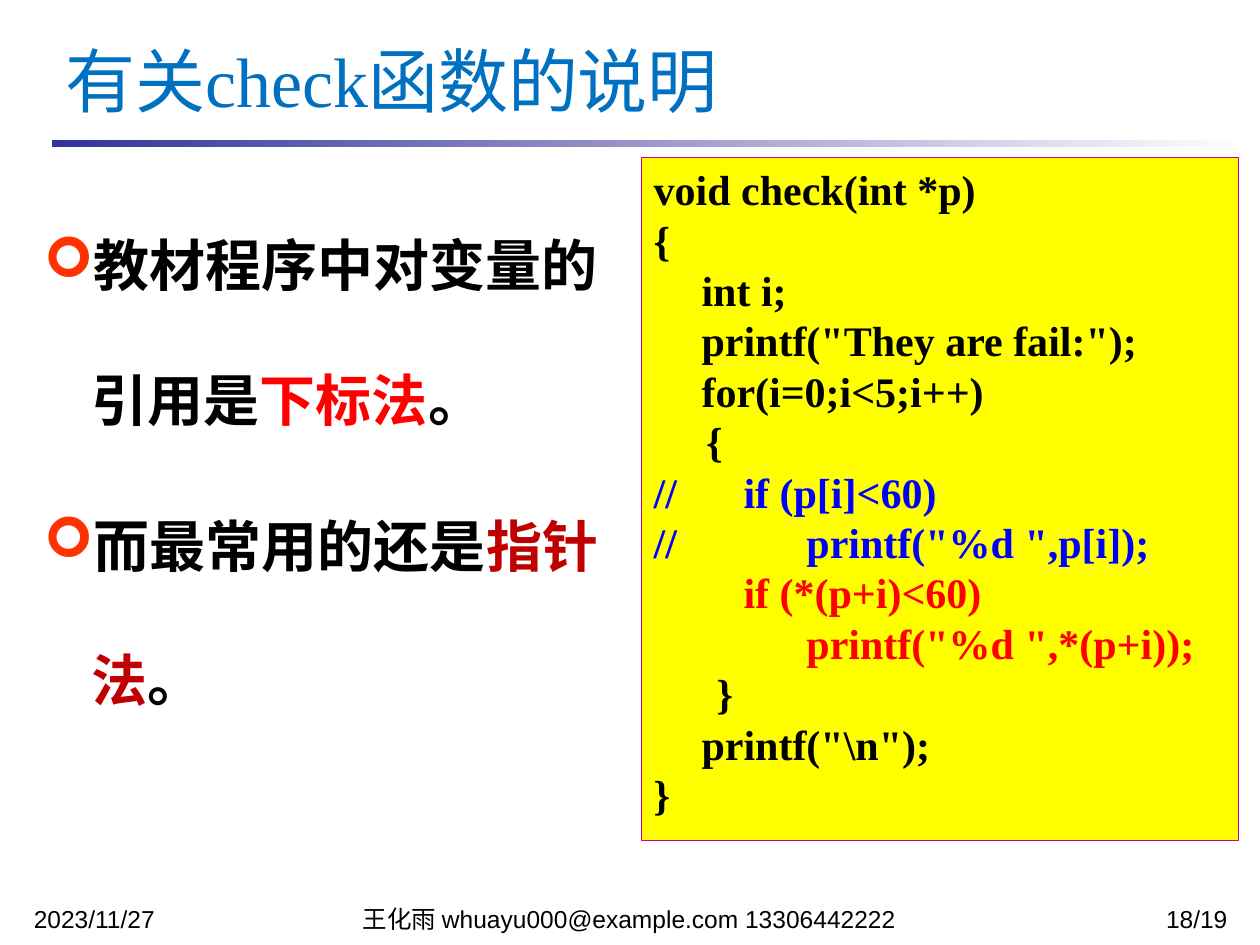
from lxml.etree import SubElement
from pptx import Presentation
from pptx.dml.color import RGBColor
from pptx.enum.shapes import MSO_SHAPE
from pptx.enum.text import MSO_ANCHOR, PP_ALIGN
from pptx.oxml.ns import qn
from pptx.util import Inches, Pt

COLORS = {
    "black": "000000", "white": "FFFFFF", "title": "0070C0", "rule": "333399",
    "bullet": "FF3300", "red": "FF0000", "dark_red": "C00000", "blue": "0000FF",
    "code_fill": "FFFF00", "code_line": "CC0099",
}
CJK = "Noto Sans CJK SC"
SERIF = "Times New Roman"

POINTS = [
    [("教材程序中对变量的引用是", "black"), ("下标法", "red"), ("。", "black")],
    [("而最常用的还是", "black"), ("指针法", "dark_red"), ("。", "black")],
]
CODE = [
    ("void check(int *p)", "black"),
    ("{", "black"),
    ("\tint i;", "black"),
    ('\tprintf("They are fail:");', "black"),
    ("\tfor(i=0;i<5;i++)", "black"),
    ("     {", "black"),
    ("//\t    if (p[i]<60)", "blue"),
    ('//\t          printf("%d ",p[i]);', "blue"),
    ("\t    if (*(p+i)<60)", "red"),
    ('\t          printf("%d ",*(p+i));', "red"),
    ("      }", "black"),
    ('\tprintf("\\n");', "black"),
    ("}", "black"),
]


def rgb(name):
    return RGBColor.from_string(COLORS[name])


def write(tf, paragraphs, font, size, bold=False, align=PP_ALIGN.LEFT,
          spacing=None, before=0, indent=0, bullet=None):
    """Fill a text frame; each paragraph is a list of (text, colour) runs."""
    tf.word_wrap = True
    for i, runs in enumerate(paragraphs):
        p = tf.add_paragraph() if i else tf.paragraphs[0]
        p.alignment = align
        p.space_before = Pt(before)
        if spacing:
            p.line_spacing = spacing
        pPr = p._p.get_or_add_pPr()
        if indent:
            pPr.set("marL", str(Inches(indent)))
            pPr.set("indent", str(-Inches(indent)))
        if bullet:
            clr = SubElement(pPr, qn("a:buClr"))
            SubElement(clr, qn("a:srgbClr"), val=COLORS["bullet"])
            SubElement(pPr, qn("a:buFont"), typeface="Wingdings")
            SubElement(pPr, qn("a:buChar"), char=bullet)
        for text, color in runs:
            r = p.add_run()
            r.text = text
            r.font.name, r.font.size, r.font.bold = font, Pt(size), bold
            r.font.color.rgb = rgb(color)
            SubElement(r._r.get_or_add_rPr(), qn("a:ea"), typeface=CJK)


def add_text(s, box, paragraphs, anchor=MSO_ANCHOR.TOP, **fmt):
    tf = s.shapes.add_textbox(*map(Inches, box)).text_frame
    tf.vertical_anchor = anchor
    write(tf, paragraphs, **fmt)


def add_panel(s, box, fill, line=None):
    sp = s.shapes.add_shape(MSO_SHAPE.RECTANGLE, *map(Inches, box))
    sp.shadow.inherit = False
    sp.fill.solid()
    sp.fill.fore_color.rgb = rgb(fill)
    if line:
        sp.line.color.rgb = rgb(line)
        sp.line.width = Pt(0.75)
    else:
        sp.line.fill.background()
    sp.text_frame.vertical_anchor = MSO_ANCHOR.TOP
    return sp


def add_header(s, left, top, width):
    add_text(s, (left, top, width, 0.77), [[("有关check函数的说明", "title")]],
             anchor=MSO_ANCHOR.MIDDLE, font=SERIF, size=40)
    rule = add_panel(s, (left - 0.01, top + 0.86, 9.51, 0.06), "rule")
    rule.fill.gradient()
    rule.fill.gradient_angle = 0
    for stop, color, pos in zip(rule.fill.gradient_stops, ("rule", "white"), (0, 1)):
        stop.color.rgb = rgb(color)
        stop.position = pos


def add_points(s, box):
    sp = add_panel(s, box, "white")
    write(sp.text_frame, POINTS, font=CJK, size=32, bold=True, spacing=2.0,
          before=6.4, indent=0.38, bullet="➢")


def add_code(s, box):
    sp = add_panel(s, box, "code_fill", "code_line")
    write(sp.text_frame, [[line] for line in CODE], font=SERIF, size=24,
          bold=True, indent=0.38)


def add_footer(s, top):
    for left, width, text, align in (
        (0.17, 2.33, "2023/11/27", PP_ALIGN.LEFT),
        (2.58, 4.83, "王化雨 whuayu000@example.com 13306442222", PP_ALIGN.CENTER),
        (7.92, 1.92, "18/19", PP_ALIGN.RIGHT),
    ):
        add_text(s, (left, top, width, 0.18), [[(text, "black")]], font="Arial",
                 size=14, align=align, spacing=0.8, before=2.8)


def main():
    prs = Presentation()
    prs.slide_width, prs.slide_height = Inches(10), Inches(7.5)
    s = prs.slides.add_slide(prs.slide_layouts[6])
    add_header(s, 0.42, 0.25, 9.27)
    add_points(s, (0.25, 1.25, 4.67, 5.42))
    add_code(s, (5.09, 1.25, 4.74, 5.42))
    add_footer(s, 7.17)
    prs.save("out.pptx")


if __name__ == "__main__":
    main()
